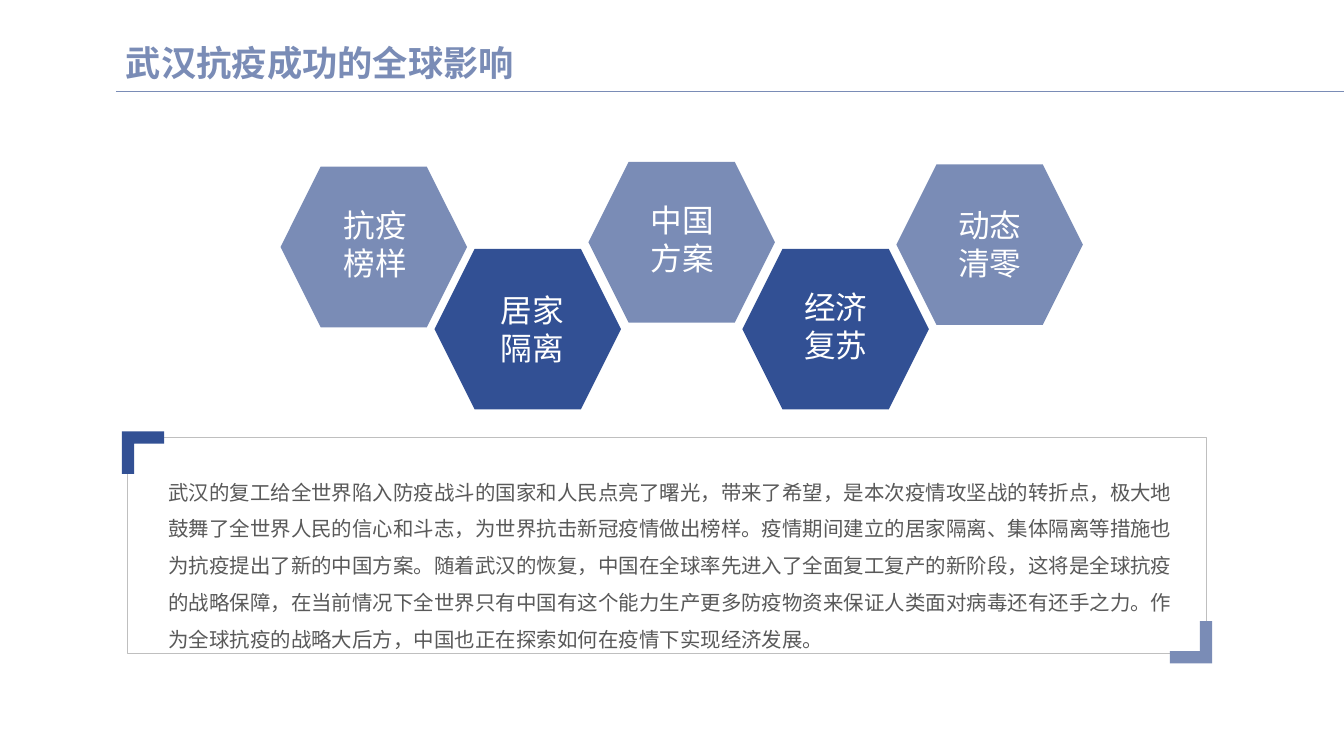
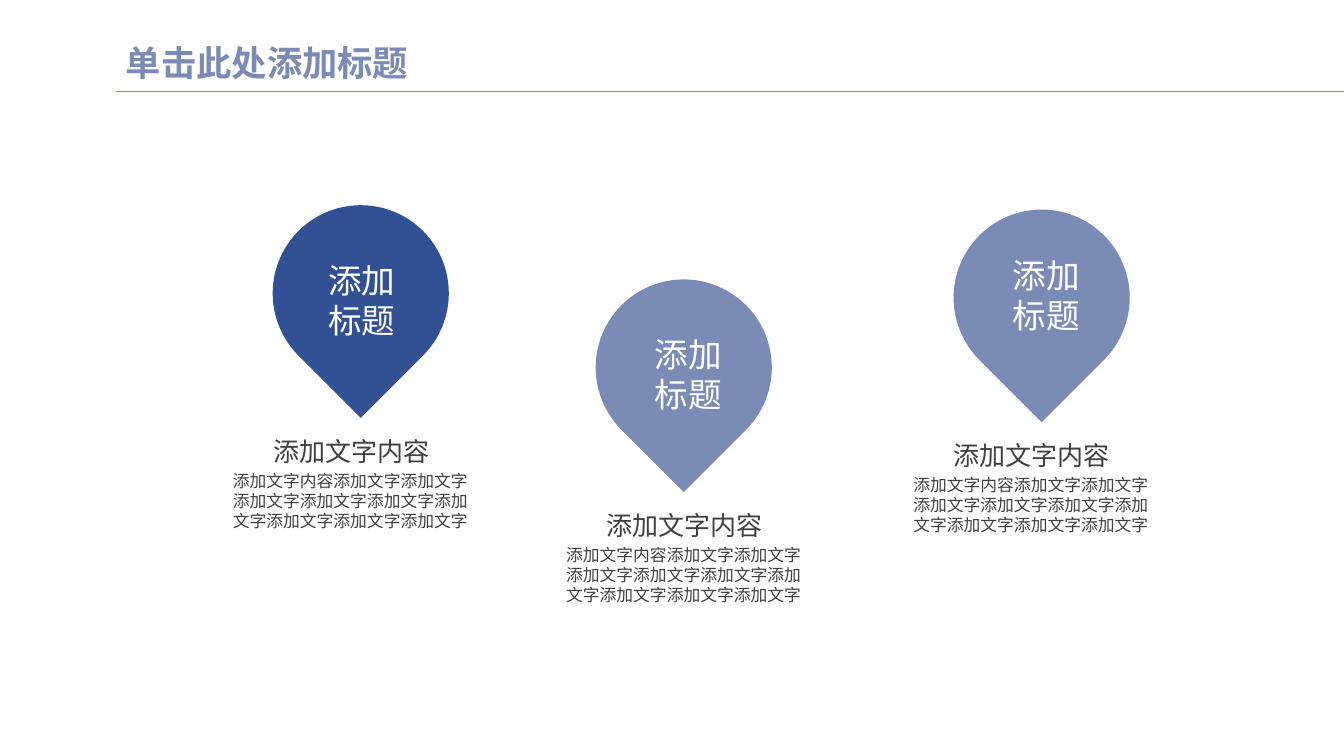
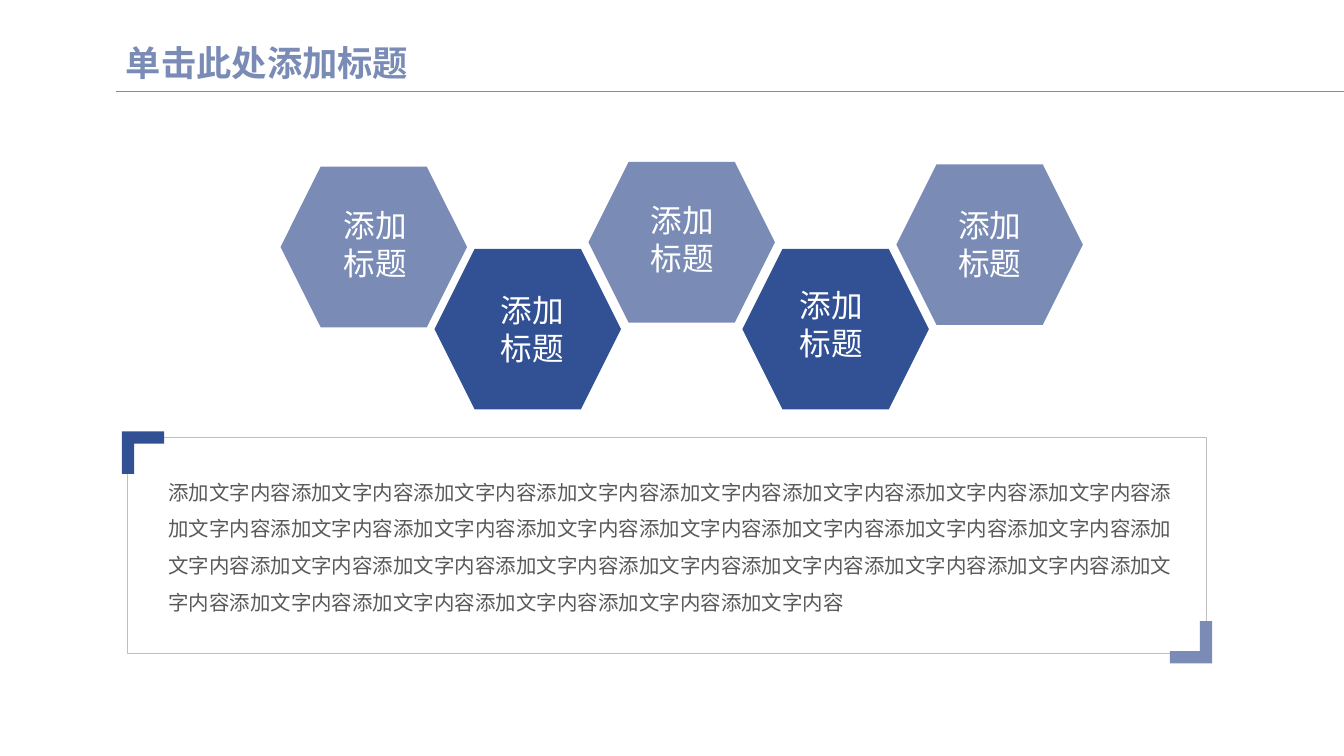
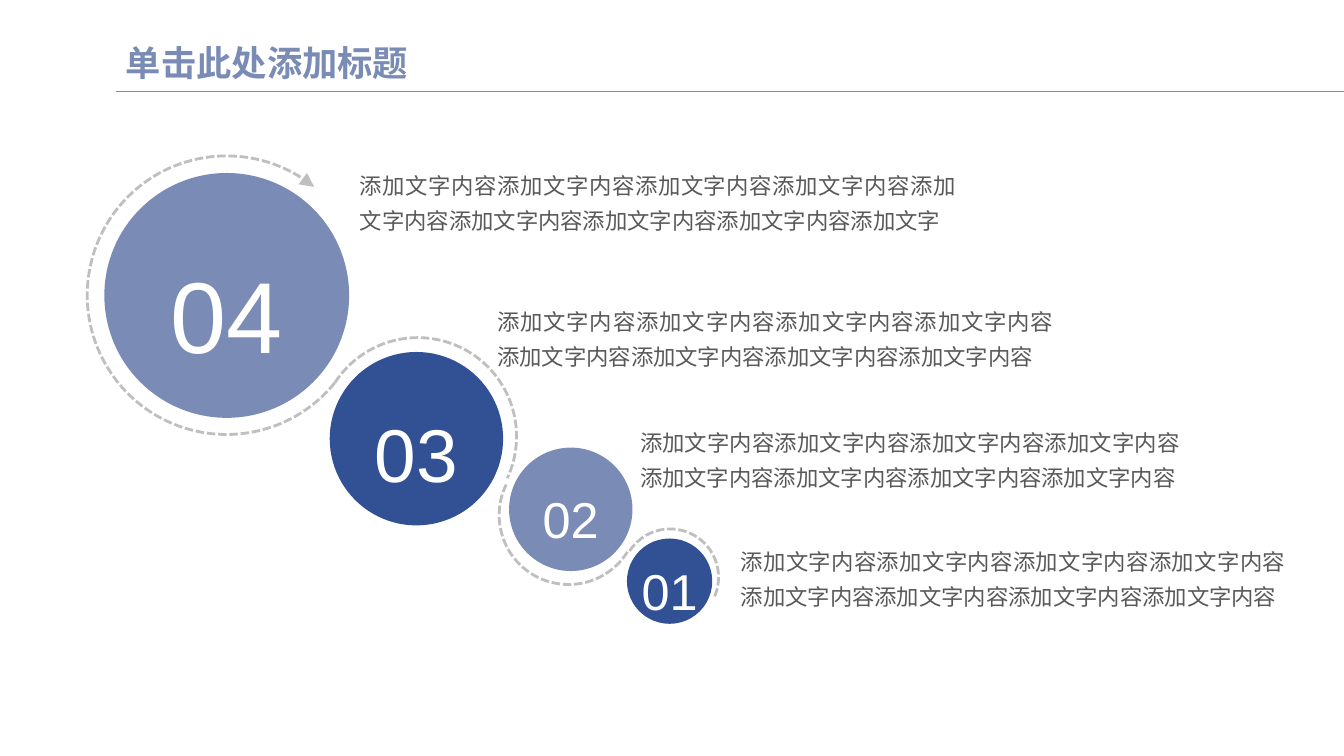
import lxml.etree
import pptx
import pptx.dml.color
import pptx.enum.dml
import pptx.enum.shapes
import pptx.enum.text
import pptx.oxml.ns
import pptx.util

# Shared colours and styles
WHITE = pptx.dml.color.RGBColor(0xFF, 0xFF, 0xFF)
NAVY = pptx.dml.color.RGBColor(0x32, 0x50, 0x94)
STEEL = pptx.dml.color.RGBColor(0x7A, 0x8C, 0xB6)
SILVER = pptx.dml.color.RGBColor(0xBF, 0xBF, 0xBF)
DARK_GREY = pptx.dml.color.RGBColor(0x40, 0x40, 0x40)
GREY = pptx.dml.color.RGBColor(0x59, 0x59, 0x59)

Cm = pptx.util.Cm
qn = pptx.oxml.ns.qn
ALIGN = pptx.enum.text.PP_ALIGN
ANCHOR = pptx.enum.text.MSO_ANCHOR
FIT = pptx.enum.text.MSO_AUTO_SIZE
SHAPE = pptx.enum.shapes.MSO_SHAPE

TITLE = {"size": 25.2, "color": STEEL, "name": "Montserrat", "bold": True, "line_spacing": 0.9}
BODY = {"size": 14.6, "color": GREY, "line_spacing": 1.5}
HEXAGON_LABEL = {"size": 22.6, "color": WHITE, "alignment": ALIGN.CENTER}
PIN_LABEL = {"size": 24, "color": WHITE}
PIN_HEADING = {"size": 18.6, "color": DARK_GREY, "alignment": ALIGN.CENTER, "line_spacing": 1.5}
PIN_BODY = {"size": 12, "color": DARK_GREY, "alignment": ALIGN.CENTER}
NUMBER = {"color": WHITE, "alignment": ALIGN.CENTER, "line_spacing": 1.3}
STEP_BODY = {"size": 16, "color": GREY, "alignment": ALIGN.JUSTIFY, "line_spacing": 1.3}


def write(box, lines, style, **frame_values):
    """Fill the box with one paragraph per line."""
    frame = box.text_frame
    for key, value in {"word_wrap": True, "auto_size": FIT.NONE, **frame_values}.items():
        setattr(frame, key, value)
    style = {"name": "Arial", "bold": False, "alignment": ALIGN.LEFT, **style}
    for index, line in enumerate(lines):
        para = frame.add_paragraph() if index else frame.paragraphs[0]
        span = para.add_run()
        span.text = line
        for key, value in style.items():
            if key == "color":
                span.font.color.rgb = value
            elif key == "size":
                span.font.size = pptx.util.Pt(value)
            else:
                setattr(para if key in ("alignment", "line_spacing") else span.font, key, value)


def paint(shape, fill=None, line=None, width=0.25):
    """Give the shape a flat fill and outline, without shadow."""
    shape.shadow.inherit = False
    for part, color in ((shape.fill, fill), (shape.line.fill, line)):
        if color is None:
            part.background()
        else:
            part.solid()
            part.fore_color.rgb = color
    if line is not None:
        shape.line.width = pptx.util.Pt(width)
    return shape


deck = pptx.Presentation()
deck.slide_width, deck.slide_height = Cm(33.87), Cm(19.05)
layout = deck.slide_layouts[5]

# Title place on the shared layout
heading = layout.placeholders[0]
for key, value in {"left": 2.92, "top": 0.97, "width": 29.21, "height": 1.32}.items():
    setattr(heading, key, Cm(value))

# Pages and their titles
PLACEHOLDER_TITLE = "单击此处添加标题"
pages = []
for title in ["武汉抗疫成功的全球影响"] + [PLACEHOLDER_TITLE] * 3:
    page = deck.slides.add_slide(layout)
    write(page.shapes.title, [title], TITLE, vertical_anchor=ANCHOR.MIDDLE)
    pages.append(page)

# Translucent backdrop and title rule, moved to the layout
backdrop = pages[0].shapes.add_shape(SHAPE.RECTANGLE, 0, 0, deck.slide_width, deck.slide_height)
paint(backdrop, WHITE)
tint = backdrop.element.spPr.find(qn("a:solidFill")).find(qn("a:srgbClr"))
lxml.etree.SubElement(tint, qn("a:alpha"), val="88000")
rule = pages[0].shapes.add_connector(
    pptx.enum.shapes.MSO_CONNECTOR.STRAIGHT, Cm(2.92), Cm(2.3), Cm(33.87), Cm(2.3))
rule.line.color.rgb = STEEL
rule.line.width = pptx.util.Pt(0.5)
lxml.etree.SubElement(rule.element.spPr, qn("a:effectLst"))
layout.shapes.element.insert(2, backdrop.element)
layout.shapes.element.insert(3, rule.element)

# Slides 1 and 3: hexagons above a framed paragraph
FILLER = "添加文字内容"
IMPACT = (
    "武汉的复工给全世界陷入防疫战斗的国家和人民点亮了曙光，带来了希望，是本次疫情攻坚战的转折点，"
    "极大地鼓舞了全世界人民的信心和斗志，为世界抗击新冠疫情做出榜样。"
    "疫情期间建立的居家隔离、集体隔离等措施也为抗疫提出了新的中国方案。"
    "随着武汉的恢复，中国在全球率先进入了全面复工复产的新阶段，这将是全球抗疫的战略保障，"
    "在当前情况下全世界只有中国有这个能力生产更多防疫物资来保证人类面对病毒还有还手之力。"
    "作为全球抗疫的战略大后方，中国也正在探索如何在疫情下实现经济发展。"
)
IMPACT_LABELS = [("抗疫", "榜样"), ("居家", "隔离"), ("中国", "方案"), ("经济", "复苏"), ("动态", "清零")]
FILLER_LABEL = ("添加", "标题")
HEXAGON_TOPS = [4.2, 6.27, 4.08, 6.27, 4.14]
LABEL_TOPS = [5.07, 7.21, 4.95, 7.14, 5.07]
LABEL_SHIFTS = [0.04, 0.11, 0.01, 0.01, 0]
BRACKET = [(0, 0), (1.07, 0), (1.07, 0.31), (0.31, 0.31), (0.31, 1.07), (0, 1.07)]

hexagon_pages = [
    (pages[0], IMPACT_LABELS, IMPACT, 5.11, LABEL_TOPS, LABEL_SHIFTS),
    (pages[2], [FILLER_LABEL] * 5, FILLER * 30, 4.11,
     [*LABEL_TOPS[:3], 7.09, LABEL_TOPS[4]], [*LABEL_SHIFTS[:3], -0.11, 0]),
]
for page, labels, body, body_height, label_tops, label_shifts in hexagon_pages:
    paint(page.shapes.add_shape(SHAPE.RECTANGLE, Cm(3.2), Cm(11.02), Cm(27.2), Cm(5.44)), line=SILVER)
    for x, y, sign, color in [(3.07, 10.87, 1, NAVY), (30.55, 16.72, -1, STEEL)]:
        corners = [(Cm(x + sign * dx), Cm(y + sign * dy)) for dx, dy in BRACKET]
        outline = page.shapes.build_freeform(*corners[0])
        outline.add_line_segments(corners[1:], close=True)
        paint(outline.convert_to_shape(), color)

    box = page.shapes.add_textbox(Cm(3.91), Cm(11.6), Cm(26.11), Cm(body_height))
    write(box, [body], BODY, auto_size=FIT.SHAPE_TO_FIT_TEXT, margin_left=Cm(0.33),
          margin_right=Cm(0.33), margin_top=Cm(0.18), margin_bottom=Cm(0.18))

    for index, label in enumerate(labels):
        left = 7.07 + 3.88 * index
        hexagon = page.shapes.add_shape(
            SHAPE.HEXAGON, Cm(left), Cm(HEXAGON_TOPS[index]), Cm(4.7), Cm(4.05))
        paint(hexagon, NAVY if index % 2 else STEEL)
        box = page.shapes.add_textbox(
            Cm(left + 0.25 + label_shifts[index]), Cm(label_tops[index]), Cm(4.2), Cm(2.18))
        write(box, label, HEXAGON_LABEL, auto_size=FIT.SHAPE_TO_FIT_TEXT)

# Slide 2: three pins with captions
page = pages[1]
pins = [  # left, top, colour, label offset, caption left
    (6.87, 5.17, NAVY, (1.15, 1.25), 5.53),
    (15.01, 7.04, STEEL, (1.24, 1.24), 13.93),
    (24.03, 5.28, STEEL, (1.24, 1.02), 22.68),
]
for left, top, color, (dx, dy), caption_left in pins:
    pin = paint(page.shapes.add_shape(SHAPE.TEAR, Cm(left), Cm(top), Cm(4.44), Cm(4.44)), color)
    pin.rotation = 135
    captions = [
        (left + dx, top + dy, 2.24, 2.31, FILLER_LABEL, PIN_LABEL, False),
        (caption_left + 1.07, top + 5.28, 4.5, 1.45, [FILLER], PIN_HEADING, False),
        (caption_left, top + 6.56, 6.6, 1.8, [FILLER + "添加文字" * 9], PIN_BODY, True),
    ]
    for *place, lines, style, wrap in captions:
        box = page.shapes.add_textbox(*map(Cm, place))
        write(box, lines, style, word_wrap=wrap, auto_size=FIT.SHAPE_TO_FIT_TEXT)

# Slide 4: dashed trail around the circles, from top left
page = pages[3]
arcs = [  # centre x, centre y, radius, clockwise start and end degrees
    (5.71, 7.44, 3.51, 39, -51),
    (10.53, 11, 2.49, -147, 25),
    (14.33, 12.98, 1.75, 32, -154),
    (16.89, 14.55, 1.22, -147, 25),
]
ANGLE_UNIT = 0.6  # adjustment value of one degree
for index, (x, y, radius, start, end) in enumerate(arcs):
    trail = page.shapes.add_shape(
        SHAPE.ARC, Cm(x - radius), Cm(y - radius), Cm(2 * radius), Cm(2 * radius))
    for side, angle in enumerate((start, end)):
        trail.adjustments[side] = angle % 360 * ANGLE_UNIT
    paint(trail, line=SILVER, width=2)
    trail.line.dash_style = pptx.enum.dml.MSO_LINE.SQUARE_DOT
    if index == 0:
        stroke = trail.element.spPr.find(qn("a:ln"))
        lxml.etree.SubElement(stroke, qn("a:tailEnd"), type="triangle", w="lg", len="lg")

# Numbered circles with their texts
steps = [  # number, circle left, top, size, colour, text size, body left, top, width, body
    ("04", 2.63, 4.36, 6.17, STEEL, 72, 8.82, 4.02, 15.53, FILLER * 8 + "添加文字"),
    ("03", 8.31, 8.87, 4.37, NAVY, 53.4, 12.28, 7.43, 14.54, FILLER * 8),
    ("02", 12.83, 11.28, 3.11, STEEL, 36, 15.88, 10.49, 14.12, FILLER * 8),
    ("01", 15.8, 13.57, 2.15, NAVY, 36, 18.42, 13.49, 14.24, FILLER * 8),
]
for number, left, top, size, color, text_size, body_left, body_top, body_width, body in steps:
    circle = paint(page.shapes.add_shape(SHAPE.OVAL, Cm(left), Cm(top), Cm(size), Cm(size)), color)
    write(circle, [number], {**NUMBER, "size": text_size}, vertical_anchor=ANCHOR.MIDDLE,
          margin_left=0, margin_right=0, margin_top=0, margin_bottom=0)
    box = page.shapes.add_textbox(Cm(body_left), Cm(body_top), Cm(body_width), Cm(2.03))
    write(box, [body], STEP_BODY, auto_size=FIT.SHAPE_TO_FIT_TEXT)

deck.save("out.pptx")
